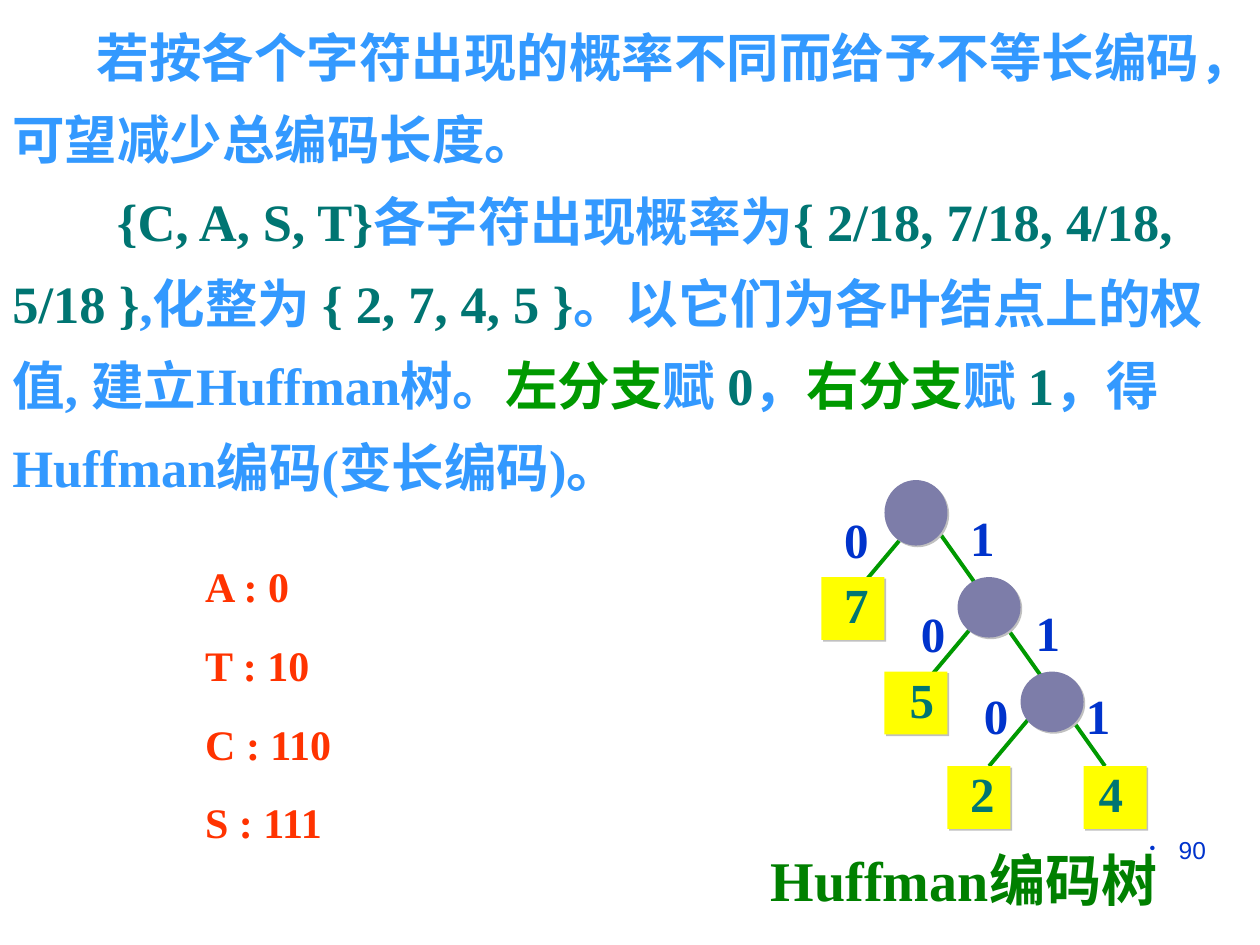
from dataclasses import dataclass

from lxml.etree import SubElement
from pptx import Presentation
from pptx.dml.color import RGBColor
from pptx.enum.shapes import MSO_CONNECTOR as Connector, MSO_SHAPE as Shape
from pptx.enum.text import MSO_ANCHOR as Anchor, PP_ALIGN as Align
from pptx.oxml.ns import qn
from pptx.util import Pt

EMU_PER_PX = 9144  # 100 px to the inch


@dataclass(frozen=True)
class Theme:
    serif: str = "Times New Roman"
    sans: str = "Arial"
    prose: str = "3399FF"
    value: str = "007572"
    branch: str = "009900"
    caption: str = "008000"
    code: str = "FF3300"
    bit: str = "0033CC"
    leaf: str = "FFFF00"
    node: str = "7D7DA9"
    shadow: str = "C0C0C0"
    body_size: int = 30
    caption_size: int = 32
    label_size: int = 28
    code_size: int = 24
    page_size: int = 14


THEME = Theme()


def px(length):
    return length * EMU_PER_PX


def add_frame(shapes, left, top, width, height, wrap=True):
    box = shapes.add_textbox(px(left), px(top), px(width), px(height))
    box.text_frame.word_wrap = wrap
    return box.text_frame


def add_run(paragraph, text, size, color, face=THEME.serif, bold=True):
    run = paragraph.add_run()
    run.text = text
    run.font.size = Pt(size)
    run.font.name = face
    run.font.bold = bold
    run.font.color.rgb = RGBColor.from_string(color)


def set_indent(paragraph, first_line, margin=0):
    properties = paragraph._p.get_or_add_pPr()
    properties.set("marL", str(px(margin)))
    properties.set("indent", str(px(first_line)))
    return properties


def add_explanation(shapes, left, top, width, height):
    prose, value, branch = THEME.prose, THEME.value, THEME.branch
    paragraphs = [
        (67, [("若按各个字符出现的概率不同而给予不等长编码，可望减少总编码长度。", prose)]),
        (83, [
            ("{C, A, S, T}", value), ("各字符出现概率为", prose),
            ("{ 2/18, 7/18, 4/18, 5/18 }", value), (",化整为 ", prose),
            ("{ 2, 7, 4, 5 }", value),
            ("。以它们为各叶结点上的权值, 建立Huffman树。", prose),
            ("左分支", branch), ("赋 ", prose), ("0", value), ("，", prose),
            ("右分支", branch), ("赋 ", prose), ("1", value),
            ("，得Huffman编码(变长编码)。", prose),
        ]),
    ]
    frame = add_frame(shapes, left, top, width, height)
    for index, (first_line, runs) in enumerate(paragraphs):
        paragraph = frame.add_paragraph() if index else frame.paragraphs[0]
        paragraph.line_spacing = 1.3
        set_indent(paragraph, first_line)
        for text, color in runs:
            add_run(paragraph, text, THEME.body_size, color)


def add_code_list(shapes, left, top, width, height):
    frame = add_frame(shapes, left, top, width, height, wrap=False)
    for index, code in enumerate(["A : 0", "T : 10", "C : 110", "S : 111"]):
        paragraph = frame.add_paragraph() if index else frame.paragraphs[0]
        paragraph.line_spacing = 1.25
        paragraph.space_before = Pt(9)
        add_run(paragraph, code, THEME.code_size, THEME.code)


def add_shadow(shape):
    """Give the shape a hard grey shadow to the lower right."""
    shape.shadow.inherit = False
    effects = shape._element.spPr.find(qn("a:effectLst"))
    outer = SubElement(effects, qn("a:outerShdw"), dist=str(Pt(1.4)),
                       dir="2700000", algn="ctr", rotWithShape="0")
    SubElement(outer, qn("a:srgbClr"), val=THEME.shadow)


def add_vertex(shapes, kind, left, top, height, color):
    vertex = shapes.add_shape(kind, px(left), px(top), px(50), px(height))
    vertex.fill.solid()
    vertex.fill.fore_color.rgb = RGBColor.from_string(color)
    vertex.line.fill.background()
    add_shadow(vertex)


def add_edge(shapes, x1, y1, x2, y2):
    edge = shapes.add_connector(Connector.STRAIGHT, px(x1), px(y1), px(x2), px(y2))
    edge.line.color.rgb = RGBColor.from_string(THEME.branch)
    edge.line.width = Pt(2.25)
    SubElement(edge._element.spPr, qn("a:effectLst"))


def add_label(shapes, text, left, top, color):
    frame = add_frame(shapes, left, top, 39, 57, wrap=False)
    frame.vertical_anchor = Anchor.MIDDLE
    frame.paragraphs[0].alignment = Align.CENTER
    add_run(frame.paragraphs[0], text, THEME.label_size, color)


def add_huffman_tree(shapes, left, top):
    nodes = [(50, 0, 52), (108, 152 - 75, 48), (158, 152, 48)]
    leaves = [("7", 0, 77, 8), ("5", 50, 152, 10), ("2", 100, 227, 8), ("4", 208, 227, 2)]
    left_edges = [(66, 43), (125, 110), (175, 177)]
    bits = {"0": [(8, 18), (69, 93), (119, 158)],
            "1": [(108, 17), (160, 92), (200, 158)]}

    tree = shapes.add_group_shape().shapes
    for x, y in left_edges:
        add_edge(tree, left + x, top + y, left + x - 42, top + y + 50)
    add_edge(tree, left + 83, top + 27, left + 225, top + 227)
    for x, y, height in nodes:
        add_vertex(tree, Shape.OVAL, left + x, top + y, height, THEME.node)
    for weight, x, y, nudge in leaves:
        add_vertex(tree, Shape.RECTANGLE, left + x, top + y, 50, THEME.leaf)
        add_label(tree, weight, left + x + nudge, top + y - 7, THEME.value)
    for bit, places in bits.items():
        for x, y in places:
            add_label(tree, bit, left + x, top + y, THEME.bit)


def add_tree_caption(shapes, left, top, width, height):
    caption = add_frame(shapes, left, top, width, height).paragraphs[0]
    add_run(caption, "Huffman编码树", THEME.caption_size, THEME.caption)


def add_page_number(shapes, left, top, width, height):
    number = add_frame(shapes, left, top, width, height).paragraphs[0]
    number.alignment = Align.RIGHT
    properties = set_indent(number, -23, margin=23)
    bullet_color = SubElement(properties, qn("a:buClr"))
    SubElement(bullet_color, qn("a:srgbClr"), val=THEME.bit)
    SubElement(properties, qn("a:buSzPct"), val="70000")
    SubElement(properties, qn("a:buChar"), char="•")
    add_run(number, "90", THEME.page_size, THEME.bit, THEME.sans, bold=False)


def main():
    deck = Presentation()
    deck.slide_width, deck.slide_height = px(1000), px(750)
    shapes = deck.slides.add_slide(deck.slide_layouts[6]).shapes
    add_page_number(shapes, 717, 658, 250, 52)
    add_explanation(shapes, 0, 0, 965, 400)
    add_tree_caption(shapes, 602, 666, 342, 64)
    add_huffman_tree(shapes, 652, 381)
    add_code_list(shapes, 153, 430, 155, 248)
    deck.save("out.pptx")


if __name__ == "__main__":
    main()
